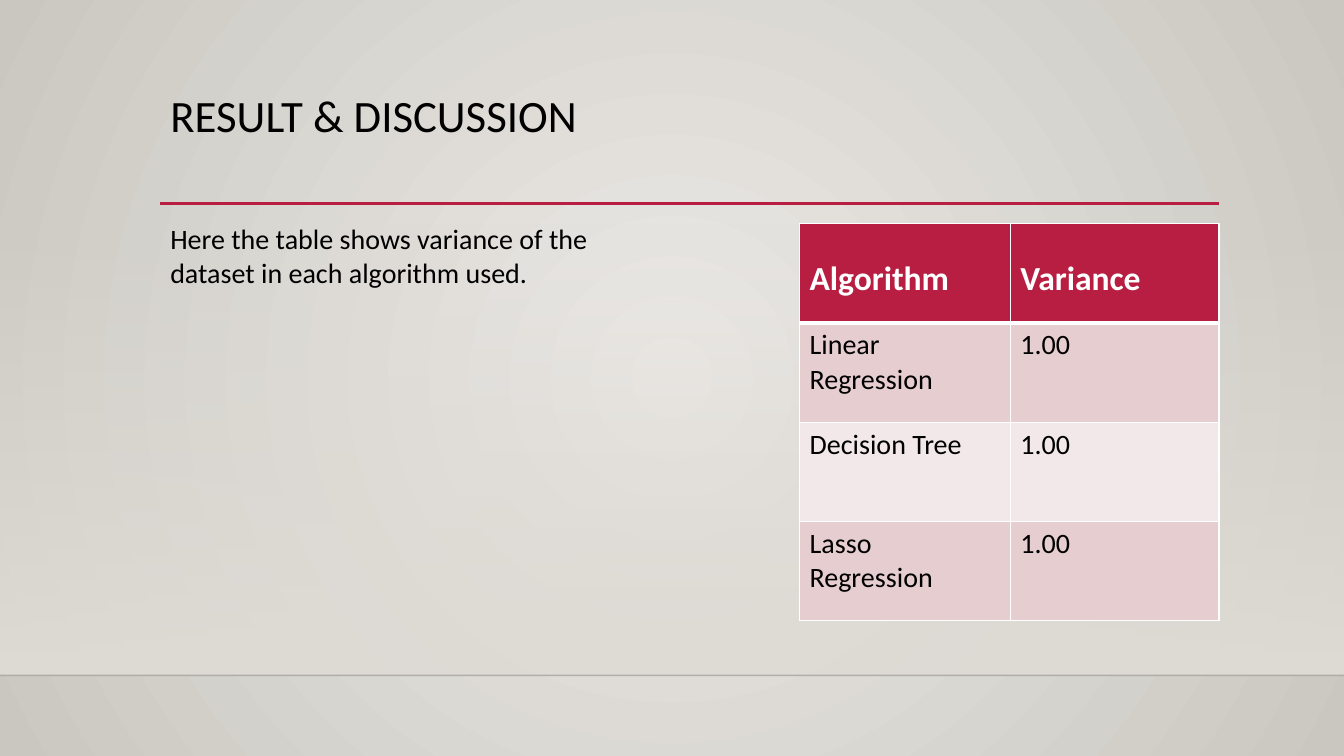
import dataclasses

import lxml.etree
import pptx
import pptx.dml.color
import pptx.enum.shapes
import pptx.enum.text
import pptx.oxml.ns
import pptx.util

Inches = pptx.util.Inches
Pt = pptx.util.Pt
qn = pptx.oxml.ns.qn


@dataclasses.dataclass(frozen=True)
class Theme:
    """Colours, font and type sizes of the deck."""
    font: str = "Calibri"
    text: str = "000000"
    white: str = "FFFFFF"
    accent: str = "B71E42"
    bands: tuple = ("E6CDCF", "F3E8E9")
    backdrop: tuple = ("ECEAE7", "CAC7C1")
    floor: str = "DFDBD5"
    floor_edge: str = "000001"
    title_size: int = 32
    header_size: int = 24
    body_size: int = 20


THEME = Theme()
ROWS = [
    ("Algorithm", "Variance"),
    ("Linear Regression", "1.00"),
    ("Decision Tree", "1.00"),
    ("Lasso Regression", "1.00"),
]


def rgb(value):
    """Turn a hex string into a colour."""
    return pptx.dml.color.RGBColor.from_string(value)


def assign(target, values):
    """Set attributes from a dict of format values."""
    for name, value in values.items():
        setattr(target, name, value)


def add_child(parent, tag, **attributes):
    """Append a child element with the given attributes."""
    texts = {name: str(value) for name, value in attributes.items()}
    return lxml.etree.SubElement(parent, qn(tag), texts)


def write(frame, text, size, color=THEME.text, bold=False):
    """Write one formatted paragraph into a text frame."""
    para = frame.paragraphs[0]
    span = para.add_run()
    span.text = text
    assign(span.font, {"name": THEME.font, "size": Pt(size), "bold": bold})
    span.font.color.rgb = rgb(color)
    return para


def fill_gradient(fill, colors):
    """Apply a two-colour gradient."""
    fill.gradient()
    for stop, color in zip(fill.gradient_stops, colors):
        stop.color.rgb = rgb(color)


def set_alpha(parent, percent):
    """Set the opacity of the first colour inside an element."""
    color = next(parent.iter(qn("a:srgbClr")))
    add_child(color, "a:alpha", val=percent * 1000)


def add_rule(page, left, top, width, color, weight):
    """Draw a horizontal line without a shadow."""
    rule = page.shapes.add_connector(
        pptx.enum.shapes.MSO_CONNECTOR.STRAIGHT,
        Inches(left), Inches(top), Inches(left + width), Inches(top))
    rule.line.color.rgb = rgb(color)
    rule.line.width = Pt(weight)
    add_child(rule.element.spPr, "a:effectLst")
    return rule


def paint_backdrop(page):
    """Give the page a circular gradient from its centre."""
    fill_gradient(page.background.fill, THEME.backdrop)
    gradient = next(page.element.iter(qn("a:gradFill")))
    gradient.remove(gradient.find(qn("a:lin")))
    circle = add_child(gradient, "a:path", path="circle")
    add_child(circle, "a:fillToRect", l=50000, t=50000, r=50000, b=50000)


def add_floor(page, left, top, width, height):
    """Add the fading panel and the thin line along its lower edge."""
    panel = page.shapes.add_shape(
        pptx.enum.shapes.MSO_SHAPE.RECTANGLE,
        Inches(left), Inches(top), Inches(width), Inches(height))
    panel.shadow.inherit = False
    panel.line.fill.background()
    fill_gradient(panel.fill, (THEME.floor, THEME.floor))
    panel.fill.gradient_angle = 270
    set_alpha(panel.element.spPr, 0)
    edge = add_rule(page, left, top + height, width, THEME.floor_edge, 1)
    set_alpha(edge.element.spPr, 20)


def add_heading(page, left, top, width, height):
    """Place the title with the accent rule beneath it."""
    title = page.shapes.title
    assign(title, {"left": Inches(left), "top": Inches(top),
                   "width": Inches(width), "height": Inches(height)})
    assign(title.text_frame, {
        "word_wrap": True,
        "auto_size": pptx.enum.text.MSO_AUTO_SIZE.NONE,
        "vertical_anchor": pptx.enum.text.MSO_ANCHOR.TOP})
    para = write(title.text_frame, "RESULT & DISCUSSION", THEME.title_size)
    assign(para, {"line_spacing": 0.9,
                  "alignment": pptx.enum.text.PP_ALIGN.LEFT})
    add_rule(page, left, top + height - 0.01, width, THEME.accent, 2.5)


def add_summary(page, left, top, width, height):
    """Add the sentence that introduces the table."""
    box = page.shapes.add_textbox(
        Inches(left), Inches(top), Inches(width), Inches(height))
    box.text_frame.word_wrap = True
    write(box.text_frame,
          "Here the table shows variance of the dataset in each algorithm used.",
          THEME.body_size)


def format_cell(cell, fill, weights):
    """Draw the white borders of a cell and fill it."""
    properties = cell._tc.get_or_add_tcPr()
    for side, weight in weights.items():
        line = add_child(properties, f"a:ln{side}", w=Pt(weight))
        solid = add_child(line, "a:solidFill")
        add_child(solid, "a:srgbClr", val=THEME.white)
    cell.fill.solid()
    cell.fill.fore_color.rgb = rgb(fill)


def add_variance_table(page, left, top, widths, height):
    """Add the table of variance by algorithm."""
    table = page.shapes.add_table(
        len(ROWS), len(widths), Inches(left), Inches(top),
        Inches(sum(widths)), Inches(height)).table
    for column, width in zip(table.columns, widths):
        column.width = Inches(width)
    for index, values in enumerate(ROWS):
        header = index == 0
        fill = THEME.accent if header else THEME.bands[(index - 1) % 2]
        weights = {"L": 1, "R": 1, "T": 3 if index == 1 else 1,
                   "B": 3 if header else 1}
        for cell, value in zip(table.rows[index].cells, values):
            format_cell(cell, fill, weights)
            if header:
                cell.margin_top = Inches(0.35)
                write(cell.text_frame, value, THEME.header_size,
                      THEME.white, True)
            else:
                write(cell.text_frame, value, THEME.body_size)


def build_results_page(deck):
    """Build the results page."""
    page = deck.slides.add_slide(deck.slide_layouts[5])
    paint_backdrop(page)
    add_floor(page, 0, 2.21, 13.33, 4.49)
    add_heading(page, 1.59, 0.88, 10.5, 1.15)
    add_variance_table(page, 7.93, 2.22, (2.09, 2.07), 3.94)
    add_summary(page, 1.59, 2.15, 4.81, 0.77)


def main():
    """Create and save the deck."""
    deck = pptx.Presentation()
    assign(deck, {"slide_width": Inches(13.33), "slide_height": Inches(7.5)})
    build_results_page(deck)
    deck.save("out.pptx")


main()
